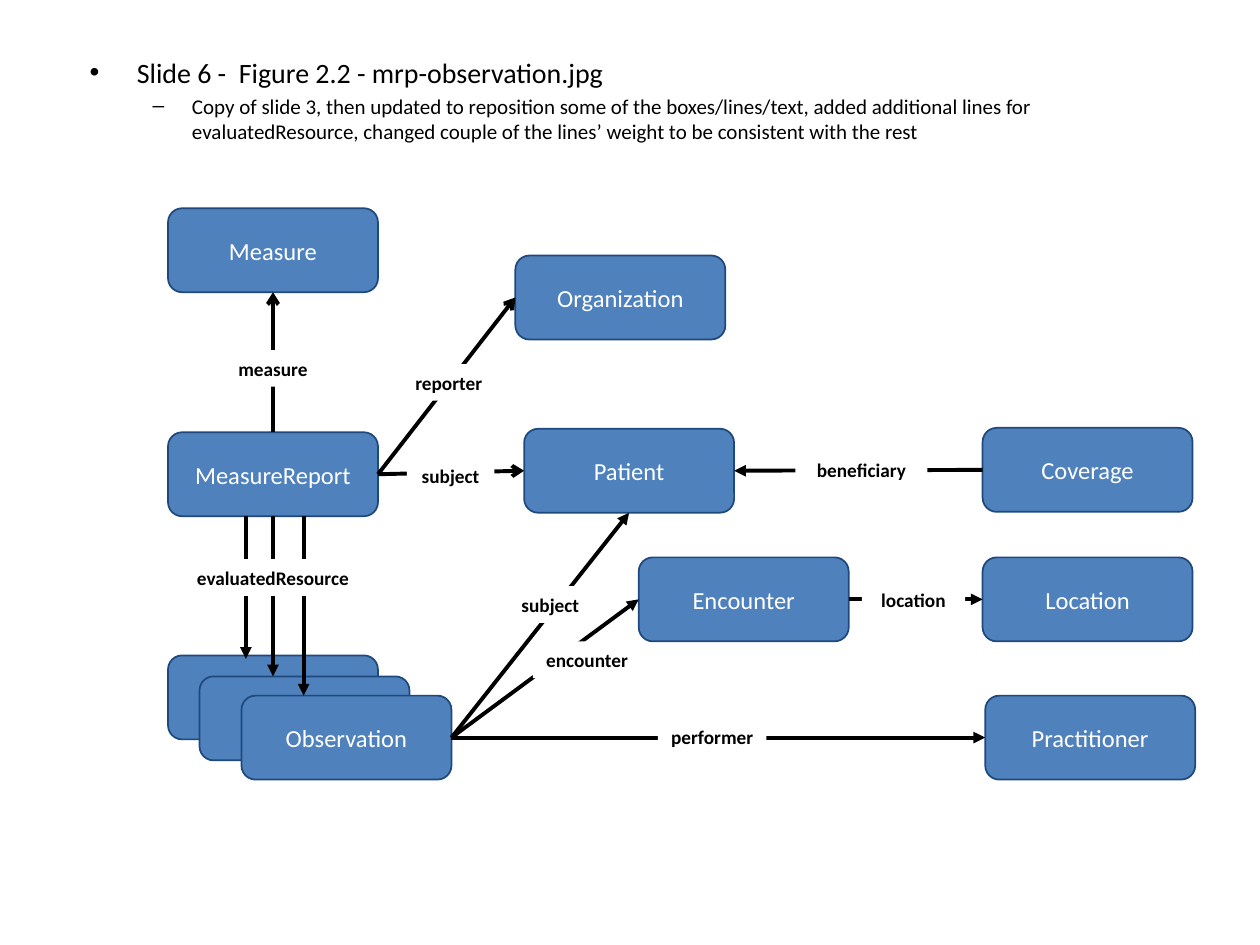
from dataclasses import dataclass

from lxml.etree import SubElement
from pptx import Presentation
from pptx.dml.color import RGBColor
from pptx.enum.shapes import MSO_CONNECTOR, MSO_SHAPE
from pptx.enum.text import MSO_ANCHOR, MSO_AUTO_SIZE, PP_ALIGN
from pptx.oxml.ns import qn
from pptx.util import Pt


@dataclass(frozen=True)
class Theme:
    font: str = "Calibri"
    resource_fill: RGBColor = RGBColor(0x4F, 0x81, 0xBD)
    resource_edge: RGBColor = RGBColor(0x1F, 0x49, 0x7D)
    ink: RGBColor = RGBColor(0, 0, 0)
    paper: RGBColor = RGBColor(0xFF, 0xFF, 0xFF)
    heading_size: int = 16
    detail_size: int = 12
    resource_size: int = 14
    label_size: int = 11
    edge_width: float = 1
    link_width: float = 2.25


THEME = Theme()
TOP, LEFT, BOTTOM, RIGHT = range(4)
RESOURCE_WIDTH, RESOURCE_HEIGHT, LABEL_HEIGHT = 120, 48, 21

# Resource key: left, top, caption; offsets are from the diagram's corner
RESOURCES = {
    "measure": (0, 0, "Measure"),
    "report": (0, 128, "MeasureReport"),
    "observation back": (0, 255.5, ""),
    "observation middle": (18, 267.5, ""),
    "observation": (42, 278.5, "Observation"),
    "organization": (198.5, 27, "Organization"),
    "patient": (203.5, 126, "Patient"),
    "practitioner": (467, 278.5, "Practitioner"),
    "location": (465.5, 199.5, "Location"),
    "coverage": (465.5, 125.5, "Coverage"),
    "encounter": (269, 199.5, "Encounter"),
}

# Origin, its side, target, its side, arrowhead
REFERENCES = [
    ("coverage", LEFT, "patient", RIGHT, "triangle"),
    ("report", TOP, "measure", BOTTOM, "arrow"),
    ("report", RIGHT, "organization", LEFT, "arrow"),
    ("report", RIGHT, "patient", LEFT, "arrow"),
    ("observation", RIGHT, "patient", BOTTOM, "triangle"),
    ("encounter", RIGHT, "location", LEFT, "triangle"),
    ("observation", RIGHT, "practitioner", LEFT, "triangle"),
    ("observation", RIGHT, "encounter", LEFT, "triangle"),
]

# x and end y of the parallel arrows down to the observation stack
EVALUATED = [(44.5, 257.5), (60, 267.5), (77.5, 278.5)]

# Left, top, width, caption
LABELS = [
    (15, 81, 90, "measure"),
    (124.5, 89, 72, "reporter"),
    (136.5, 142.5, 50, "subject"),
    (358.5, 139, 75.5, "beneficiary"),
    (280, 291.5, 62, "performer"),
    (193.5, 216, 50, "subject"),
    (396.5, 213.5, 59, "location"),
    (208.5, 247.5, 62, "encounter"),
    (-4.5, 200.5, 129, "evaluatedResource"),
]


def style_font(paragraph, size, color, bold=False):
    for run in paragraph.runs:
        font = run.font
        font.name, font.size, font.bold = THEME.font, Pt(size), bold
        font.color.rgb = color


def add_captioned(slide, preset, box, caption, fill, size, color, bold=False):
    shape = slide.shapes.add_shape(preset, *map(Pt, box))
    shape.shadow.inherit = False
    shape.fill.solid()
    shape.fill.fore_color.rgb = fill
    if caption:
        frame = shape.text_frame
        frame.margin_left = frame.margin_right = 0
        frame.vertical_anchor = MSO_ANCHOR.MIDDLE
        frame.text = caption
        frame.paragraphs[0].alignment = PP_ALIGN.CENTER
        style_font(frame.paragraphs[0], size, color, bold)
    return shape


def add_resource(slide, left, top, caption):
    resource = add_captioned(
        slide, MSO_SHAPE.FLOWCHART_ALTERNATE_PROCESS,
        (left, top, RESOURCE_WIDTH, RESOURCE_HEIGHT), caption,
        THEME.resource_fill, THEME.resource_size, THEME.paper)
    resource.line.color.rgb = THEME.resource_edge
    resource.line.width = Pt(THEME.edge_width)
    return resource


def add_label(slide, left, top, width, caption):
    label = add_captioned(
        slide, MSO_SHAPE.RECTANGLE, (left, top, width, LABEL_HEIGHT), caption,
        THEME.paper, THEME.label_size, THEME.ink, bold=True)
    label.line.fill.background()


def add_arrow(slide, head, start=(0, 0), end=(0, 0)):
    arrow = slide.shapes.add_connector(
        MSO_CONNECTOR.STRAIGHT, *map(Pt, (*start, *end)))
    arrow.line.color.rgb = THEME.ink
    arrow.line.width = Pt(THEME.link_width)
    properties = arrow.element.spPr
    SubElement(properties.find(qn("a:ln")), qn("a:tailEnd"), type=head)
    SubElement(properties, qn("a:effectLst"))
    return arrow


def place_notes(body, left, top, width, height):
    """Fill the bulleted description above the diagram."""
    body.left, body.top, body.width, body.height = map(
        Pt, (left, top, width, height))
    frame = body.text_frame
    frame.auto_size = MSO_AUTO_SIZE.NONE
    heading = frame.paragraphs[0]
    heading.text = "Slide 6 -  Figure 2.2 - mrp-observation.jpg"
    heading.space_before = Pt(0)
    style_font(heading, THEME.heading_size, THEME.ink)
    detail = frame.add_paragraph()
    detail.text = (
        "Copy of slide 3, then updated to reposition some of the "
        "boxes/lines/text, added additional lines for evaluatedResource, "
        "changed couple of the lines’ weight to be consistent with the rest")
    detail.level = 1
    style_font(detail, THEME.detail_size, THEME.ink)


def draw_diagram(slide, left, top):
    """Draw resources, their references and the reference labels."""
    resources = {
        key: add_resource(slide, left + x, top + y, caption)
        for key, (x, y, caption) in RESOURCES.items()}

    # References between resources
    for origin, origin_side, target, target_side, head in REFERENCES:
        reference = add_arrow(slide, head)
        reference.begin_connect(resources[origin], origin_side)
        reference.end_connect(resources[target], target_side)

    # Evaluated resources, one arrow for each stacked observation
    report_x, report_y, _ = RESOURCES["report"]
    for x, end_y in EVALUATED:
        evaluated = add_arrow(
            slide, "triangle",
            (left + x, top + report_y + RESOURCE_HEIGHT),
            (left + x, top + end_y))
        if x == report_x + RESOURCE_WIDTH / 2:
            evaluated.begin_connect(resources["report"], BOTTOM)

    # Labels interrupt the lines
    for x, y, width, caption in LABELS:
        add_label(slide, left + x, top + y, width, caption)


def main():
    deck = Presentation()
    deck.slide_width, deck.slide_height = Pt(720), Pt(540)
    slide = deck.slides.add_slide(deck.slide_layouts[1])
    title = slide.shapes.title.element
    title.getparent().remove(title)
    place_notes(slide.placeholders[1], 44, 28, 648, 75)
    draw_diagram(slide, 96, 119)
    deck.save("out.pptx")


if __name__ == "__main__":
    main()
